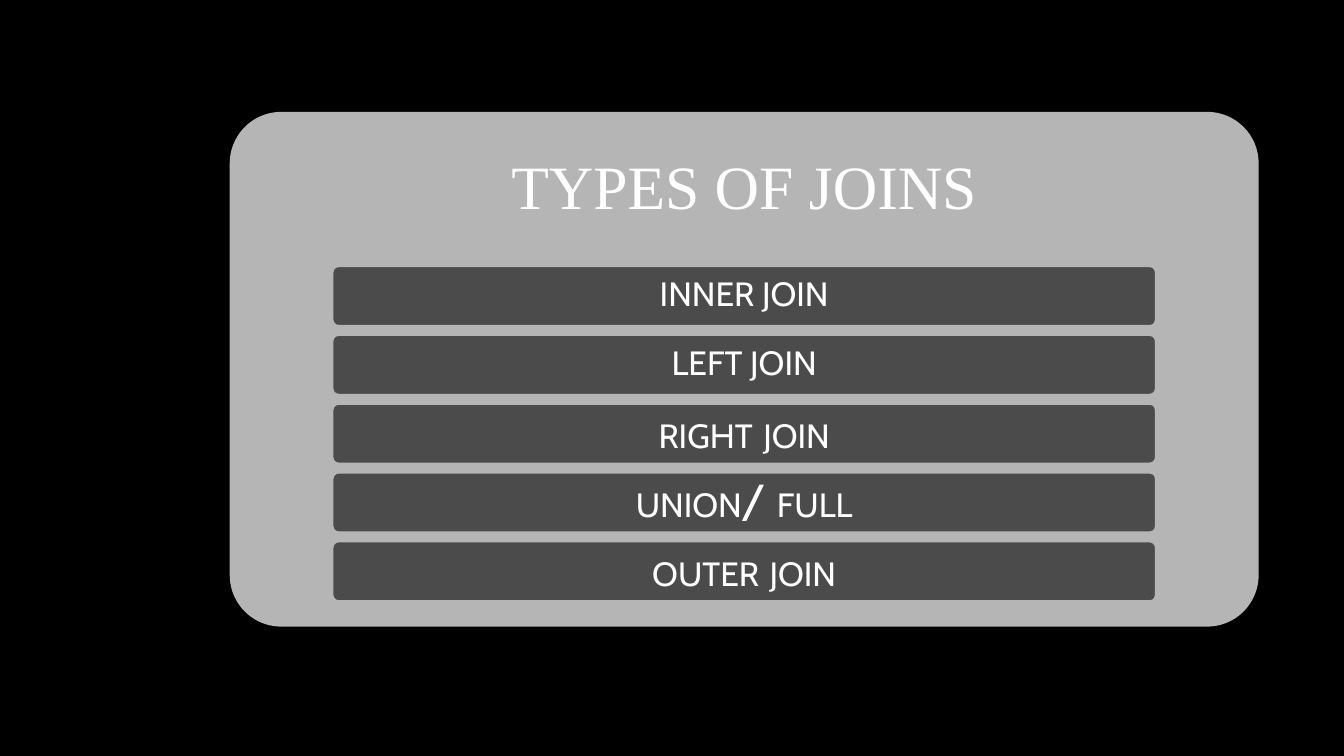
from pptx import Presentation
from pptx.dml.color import RGBColor
from pptx.enum.shapes import MSO_SHAPE
from pptx.enum.text import MSO_ANCHOR, PP_ALIGN
from pptx.util import Cm, Pt

COLORS = {"back": "000000", "panel": "B5B5B5", "bar": "4B4B4B", "text": "FFFFFF"}
JOINS = [
    [("INNER JOIN", 24)],
    [("LEFT JOIN", 24)],
    [("RIGHT", 24), (" ", 33), ("JOIN", 24)],
    [("UNION", 24), ("/ ", 33), ("FULL", 24)],
    [("OUTER", 24), (" ", 33), ("JOIN", 24)],
]


def color(name):
    return RGBColor.from_string(COLORS[name])


def write(shape, parts, font, inset):
    frame = shape.text_frame
    frame.word_wrap = True
    frame.vertical_anchor = MSO_ANCHOR.MIDDLE
    frame.margin_left = frame.margin_right = inset
    frame.margin_top = frame.margin_bottom = inset
    para = frame.paragraphs[0]
    para.alignment = PP_ALIGN.CENTER
    para.line_spacing = 0.9
    for text, size in parts:
        run = para.add_run()
        run.text = text
        run.font.name = font
        run.font.size = Pt(size)
        run.font.color.rgb = color("text")


def add_box(slide, fill, left, top, width, height):
    box = slide.shapes.add_shape(
        MSO_SHAPE.ROUNDED_RECTANGLE, left, top, width, height)
    box.adjustments[0] = 0.1
    box.shadow.inherit = False
    box.fill.solid()
    box.fill.fore_color.rgb = color(fill)
    box.line.fill.background()
    return box


def add_title(slide, left, top, width, height):
    title = slide.shapes.title
    title.left, title.top = left, top
    title.width, title.height = width, height
    write(title, [("TYPES OF JOINS", 44)], "Times New Roman", Cm(0.46))


def add_bars(slide, left, top, width, height):
    step = height // len(JOINS)
    for row, parts in enumerate(JOINS):
        bar = add_box(slide, "bar", left, top + row * step, width, Cm(1.5))
        bar.line.color.rgb = color("panel")
        bar.line.width = Pt(1.25)
        write(bar, parts, "Cabin", Cm(0.13))


def add_panel(slide, left, top, width, height):
    panel = add_box(slide, "panel", left, top, width, height)
    slide.shapes.title._element.addprevious(panel._element)
    head = int(height * 0.3)
    add_title(slide, left, top, width, head)
    side = int(width * 0.1)
    add_bars(slide, left + side, top + head, width - 2 * side, Cm(8.67))


def main():
    deck = Presentation()
    deck.slide_width, deck.slide_height = Cm(33.87), Cm(19.05)
    slide = deck.slides.add_slide(deck.slide_layouts[5])
    slide.background.fill.solid()
    slide.background.fill.fore_color.rgb = color("back")
    add_panel(slide, Cm(5.79), Cm(2.82), Cm(25.93), Cm(12.97))
    deck.save("out.pptx")


if __name__ == "__main__":
    main()
